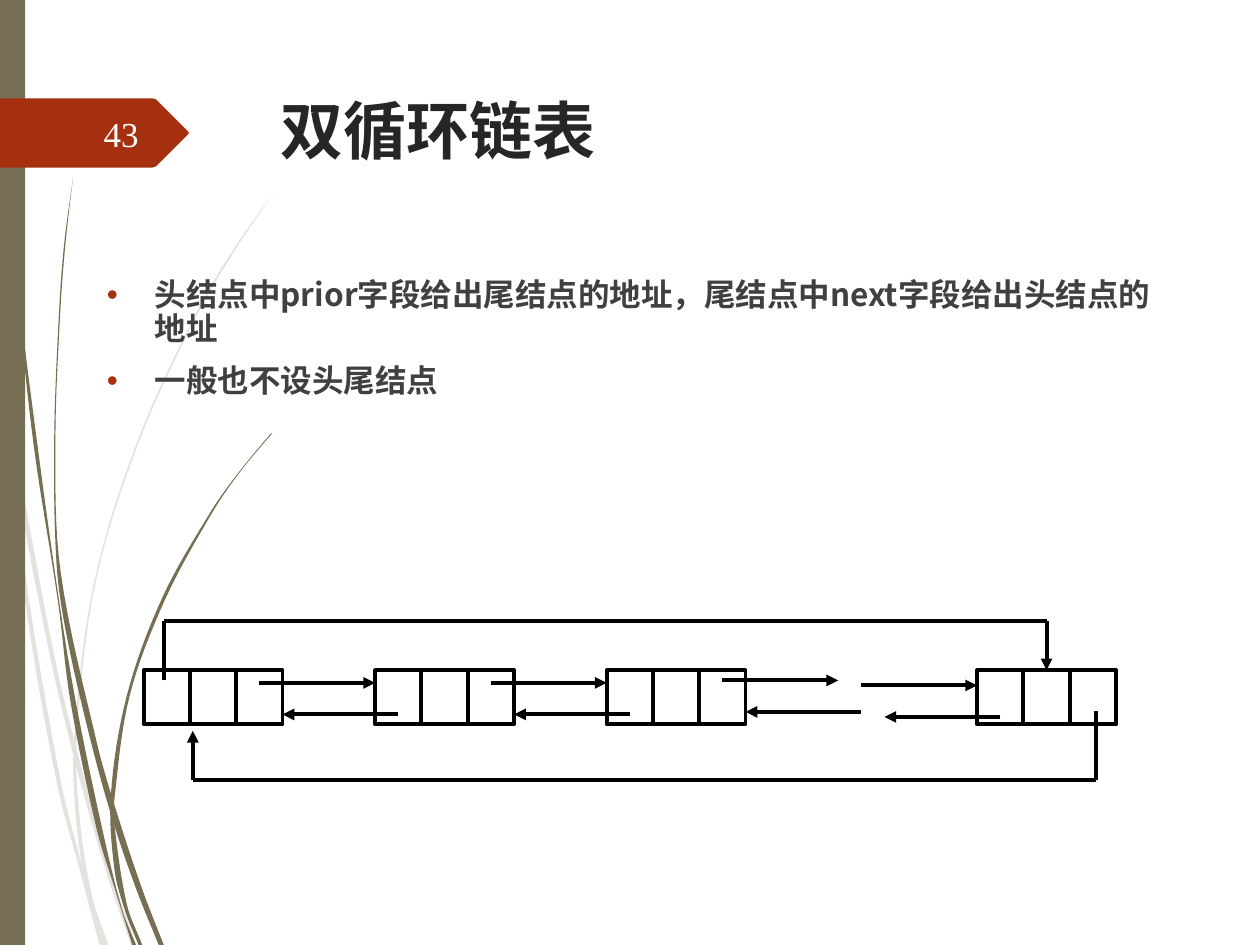
from lxml import etree
from pptx import Presentation
from pptx import util as u
from pptx.dml.color import RGBColor
from pptx.enum import shapes, text
from pptx.oxml import ns

COLS, ROWS = 10, 7.5
OLIVE, PALE, RUST, BLACK = "766F54", "E4E2DD", "A53010", "000000"
CJK = "Noto Sans CJK SC"

PALE_STRANDS = [
    ([(0, 2.82), (0.08, 3.5), (0.19, 4.7), (0.45, 6.21), (0.64, 6.93), (0.79, 7.5)],
     [(0, 2.82), (0.12, 3.76), (0.22, 4.69), (0.48, 6.19), (0.64, 6.83), (0.82, 7.5)]),
    ([(0.1, 3.45), (0.12, 3.76), (0.4, 5.22), (0.61, 6.1), (0.85, 6.94), (1.04, 7.5)],
     [(0.1, 3.45), (0.43, 5.2), (0.64, 6.07), (0.88, 6.92), (1.08, 7.5)]),
    ([(2.17, 1.53), (1.86, 1.97), (1.58, 2.44), (1.1, 3.48), (0.75, 4.61), (0.59, 5.84),
      (0.6, 6.46), (0.7, 7.14), (0.82, 7.5)],
     [(2.17, 1.53), (1.87, 1.98), (1.59, 2.45), (1.11, 3.49), (0.76, 4.62), (0.61, 5.84),
      (0.63, 6.46), (0.73, 7.11), (0.86, 7.5)]),
]
DARK_STRANDS = [
    ([(0.02, 0), (0.05, 1.1), (0.14, 2.33), (0.27, 3.55), (0.46, 4.77), (0.56, 5.57),
      (0.77, 6.59), (0.92, 7.08), (1.05, 7.5)],
     [(0.03, 0), (0.06, 1.09), (0.15, 2.32), (0.3, 3.55), (0.47, 4.77), (0.6, 5.56),
      (0.81, 6.57), (0.97, 7.22), (1.08, 7.5)]),
    ([(0.58, 1.41), (0.51, 1.93), (0.47, 2.45), (0.43, 3.49), (0.45, 4.49), (0.53, 5.05),
      (0.73, 5.92), (0.91, 6.56), (1.09, 7.08), (1.26, 7.5)],
     [(0.58, 1.41), (0.52, 1.93), (0.48, 2.45), (0.44, 3.49), (0.48, 4.53), (0.77, 5.9),
      (0.94, 6.49), (1.13, 7.06), (1.3, 7.5)]),
    ([(2.15, 3.44), (1.91, 3.73), (1.68, 4.05), (1.29, 4.74), (1.01, 5.51), (0.88, 6.31),
      (0.91, 6.91), (1, 7.25), (1.1, 7.5)],
     [(2.16, 3.44), (1.91, 3.74), (1.69, 4.06), (1.31, 4.76), (1.03, 5.52), (0.91, 6.33),
      (0.91, 6.56), (1.01, 7.19), (1.13, 7.5)]),
]


def rgb(value):
    """Turn a hex string into a colour."""
    return RGBColor.from_string(value)


def smooth(points, steps=8):
    """Return a smooth run of points through a list that only goes down."""
    last = len(points) - 1
    slopes = []
    for i in range(last + 1):
        (xa, ya), (xb, yb) = points[max(i - 1, 0)], points[min(i + 1, last)]
        slopes.append((xb - xa) / (yb - ya))
    run = []
    for i in range(last):
        (xa, ya), (xb, yb) = points[i:i + 2]
        h = yb - ya
        for k in range(steps):
            t = k / steps
            x = (xa + (xb - xa) * t * t * (3 - 2 * t)
                 + h * t * (1 - t) * (slopes[i] * (1 - t) - slopes[i + 1] * t))
            run.append((x, ya + h * t))
    return run + [points[-1]]


class Deck:
    """Holds the style and the current slide."""

    def __init__(self):
        """Start a deck with one blank slide."""
        self.prs = Presentation()
        self.prs.slide_width, self.prs.slide_height = u.Inches(10), u.Inches(7.5)
        self.s = self.prs.slides.add_slide(self.prs.slide_layouts[6])

    def at(self, x, y):
        """Turn columns and rows into slide lengths."""
        return round(self.prs.slide_width * x / COLS), round(self.prs.slide_height * y / ROWS)

    def box(self, x, y, w, h, fill=None, line=None):
        """Add a rectangle."""
        sp = self.s.shapes.add_shape(shapes.MSO_SHAPE.RECTANGLE, *self.at(x, y), *self.at(w, h))
        self.paint(sp, fill, line)
        return sp

    def paint(self, sp, fill=None, line=None):
        """Set fill and outline and drop the shadow."""
        sp.shadow.inherit = False
        if fill:
            sp.fill.solid()
            sp.fill.fore_color.rgb = rgb(fill)
        else:
            sp.fill.background()
        if line:
            sp.line.color.rgb = rgb(line)
            sp.line.width = u.Pt(2.25)
        else:
            sp.line.fill.background()

    def outline(self, points, fill):
        """Add a closed freeform."""
        first, *rest = [self.at(*p) for p in points]
        builder = self.s.shapes.build_freeform(*first, scale=1.0)
        builder.add_line_segments(rest, close=True)
        self.paint(builder.convert_to_shape(), fill)

    def strand(self, left, right, fill):
        """Add a curved blade between two edges."""
        self.outline(smooth(left) + smooth(right)[::-1], fill)

    def line(self, start, end, arrow=False):
        """Add a straight line, with an arrowhead if asked."""
        c = self.s.shapes.add_connector(
            shapes.MSO_CONNECTOR.STRAIGHT, *self.at(*start), *self.at(*end))
        c.line.color.rgb = rgb(BLACK)
        c.line.width = u.Pt(2.25)
        if arrow:
            etree.SubElement(c.line._get_or_add_ln(), ns.qn("a:tailEnd"), type="triangle")
        etree.SubElement(c._element.spPr, ns.qn("a:effectLst"))
        return c

    def route(self, *points):
        """Add a bent line that ends in an arrowhead and return its last part."""
        for start, end in zip(points[:-2], points[1:-1]):
            self.line(start, end)
        return self.line(points[-2], points[-1], arrow=True)

    def text(self, x, y, w, h, words, size, font, color, bold=False, bullet=None,
             align=text.PP_ALIGN.LEFT, anchor=text.MSO_ANCHOR.TOP):
        """Add a text box, with bullets if a bullet colour is given."""
        tf = self.s.shapes.add_textbox(*self.at(x, y), *self.at(w, h)).text_frame
        tf.word_wrap = True
        tf.vertical_anchor = anchor
        tf.text = words
        for i, p in enumerate(tf.paragraphs):
            p.alignment = align
            if bullet:
                p.line_spacing = 0.9
                p.space_before = u.Pt(10 if i else 0)
                self.bullet(p, bullet)
            for r in p.runs:
                r.font.size, r.font.name, r.font.bold = u.Pt(size), font, bold
                r.font.color.rgb = rgb(color)
                etree.SubElement(r._r.get_or_add_rPr(), ns.qn("a:ea"), typeface=CJK)

    def bullet(self, p, color):
        """Give a paragraph a hanging bullet."""
        pr = p._p.get_or_add_pPr()
        pr.set("marL", str(u.Inches(0.38)))
        pr.set("indent", str(-u.Inches(0.38)))
        clr = etree.SubElement(pr, ns.qn("a:buClr"))
        etree.SubElement(clr, ns.qn("a:srgbClr"), val=color)
        etree.SubElement(pr, ns.qn("a:buFont"), typeface="Arial")
        etree.SubElement(pr, ns.qn("a:buChar"), char="•")


def draw_backdrop(deck):
    """Draw the strands, side bar and page tag."""
    for strands, color in ((PALE_STRANDS, PALE), (DARK_STRANDS, OLIVE)):
        for left, right in strands:
            deck.strand(left, right, color)
    deck.box(0, 0, 0.2, ROWS, OLIVE)
    deck.outline([(0, 0.78), (1.21, 0.78), (1.24, 0.79), (1.49, 1.04), (1.5, 1.055),
                  (1.49, 1.07), (1.24, 1.32), (1.21, 1.33), (0, 1.33)], RUST)


def draw_list(deck):
    """Draw the nodes of the circular list and their links."""
    left, top, cell, height = 1.14, 5.32, 0.3675, 0.43

    def col(n):
        return left + n * cell

    cells = {n + i: deck.box(col(n + i), top, cell, height, line=BLACK)
             for n in (0, 5, 10, 18) for i in range(3)}
    for n, shift in ((0, 0), (5, 0), (10, -0.02), (13, 0.02)):
        deck.line((col(n + 2.5), 5.42 + shift), (col(n + 5), 5.42 + shift), arrow=True)
        deck.line((col(n + 5.5), 5.67 + shift), (col(n + 3), 5.67 + shift), arrow=True)
    deck.route((8.7, 5.64), (8.7, 6.19), (1.53, 6.19), (1.53, 5.8))
    prior = deck.route((1.3, 5.4), (1.3, 4.93), (col(19.5), 4.93), (col(19.5), top))
    prior.end_connect(cells[19], 0)


def main():
    """Build the slide and save it."""
    deck = Deck()
    draw_backdrop(deck)
    deck.text(2.13, 0.68, 7.21, 1.4, "双循环链表", 36, "Quicksand", "262626", bold=True)
    deck.text(0.75, 2.17, 8.5, 3,
              "头结点中prior字段给出尾结点的地址，尾结点中next字段给出头结点的地址\n一般也不设头尾结点",
              18, CJK, "404040", bold=True, bullet=RUST)
    deck.text(0.56, 0.86, 0.64, 0.4, "43", 20, "Times New Roman", "FEFFFF",
              align=text.PP_ALIGN.RIGHT, anchor=text.MSO_ANCHOR.MIDDLE)
    draw_list(deck)
    deck.prs.save("out.pptx")


if __name__ == "__main__":
    main()
